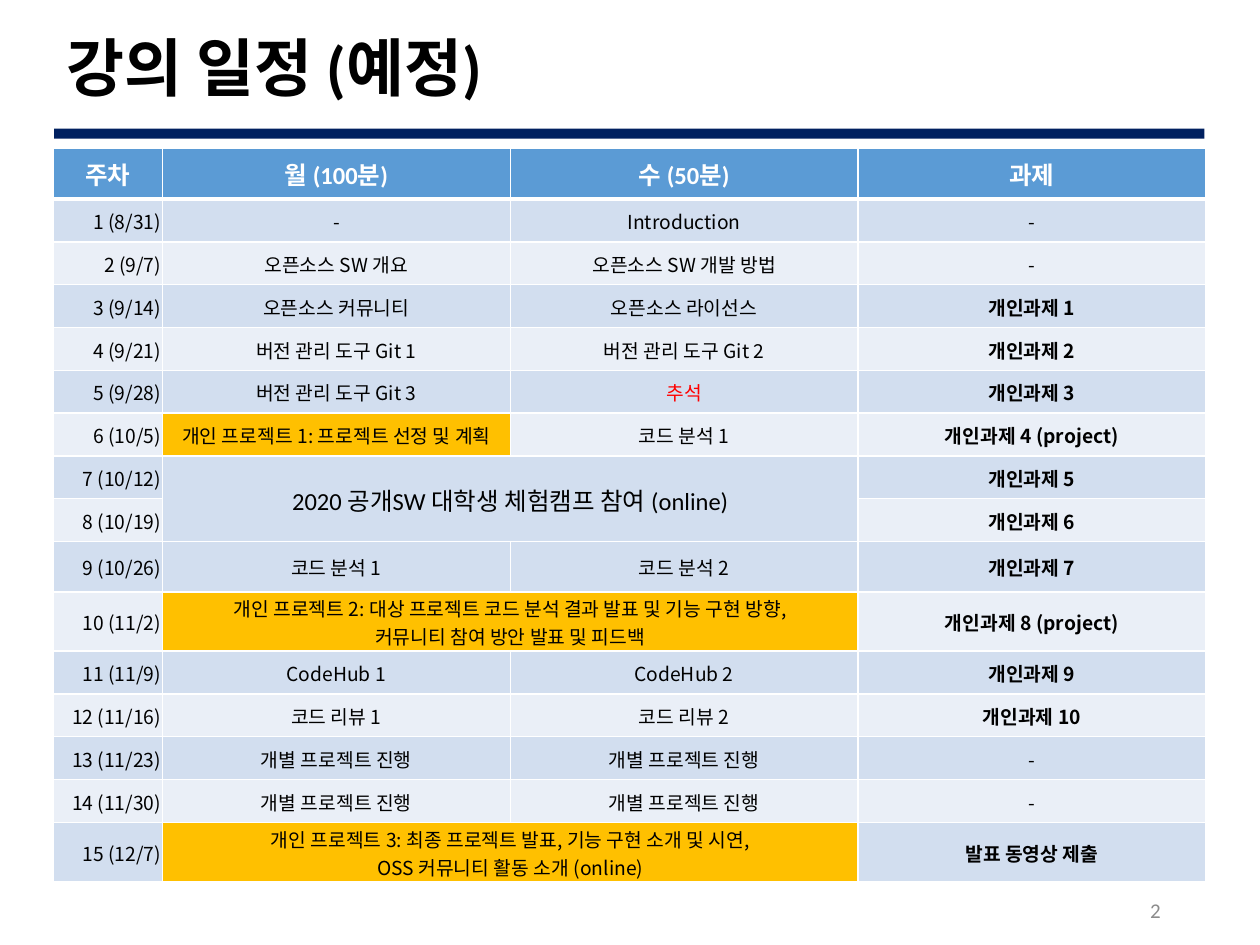
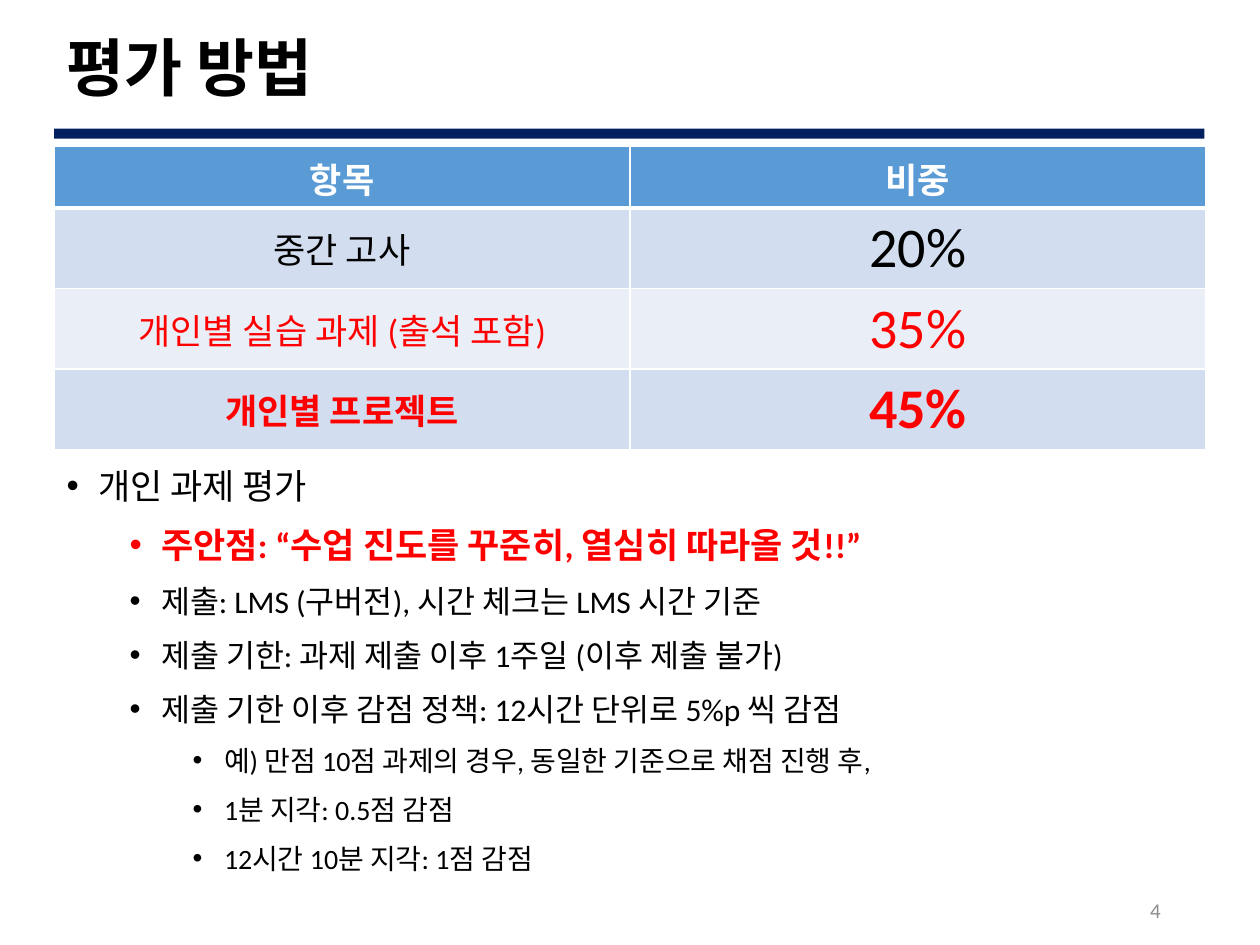
from lxml import etree
from pptx import Presentation
from pptx.dml.color import RGBColor
from pptx.enum.shapes import MSO_SHAPE
from pptx.enum.text import MSO_ANCHOR, PP_ALIGN
from pptx.oxml.ns import qn
from pptx.util import Inches, Pt

COLORS = {
    "navy": "002060", "header": "5B9BD5", "band": "D2DEEF", "light": "EAEFF7",
    "gold": "FFC000", "red": "FF0000", "black": "000000", "white": "FFFFFF",
    "gray": "8C8C8C",
}
LATIN, KOREAN = "Calibri", "Noto Sans CJK KR"
LEFT, WIDTH = 0.43, 9.13
CENTER, RIGHT = PP_ALIGN.CENTER, PP_ALIGN.RIGHT


def rgb(name):
    """Return the named colour."""
    return RGBColor.from_string(COLORS[name])


def write(p, text, size=18, font=LATIN, color="black", bold=False,
          align=None, line=None, before=None):
    """Put one formatted run into a paragraph."""
    r = p.add_run()
    r.text = text
    r.font.size, r.font.name, r.font.bold = Pt(size), font, bold
    r.font.color.rgb = rgb(color)
    etree.SubElement(r._r.get_or_add_rPr(), qn("a:ea"), typeface=KOREAN)
    p.alignment = align
    if line:
        p.line_spacing = line
    if before is not None:
        p.space_before = Pt(before)


class Deck:
    """Hold the shared style and the current slide."""

    def __init__(self):
        """Start an empty presentation."""
        self.prs = Presentation()
        self.prs.slide_width, self.prs.slide_height = Inches(10), Inches(7.5)
        self.s = None

    def slide(self, title, number):
        """Add a slide with its title, rule and page number."""
        self.s = self.prs.slides.add_slide(self.prs.slide_layouts[6])
        sp = self.s.shapes.add_shape(MSO_SHAPE.RECTANGLE, Inches(LEFT), Inches(1.02),
                                     Inches(WIDTH), Inches(0.08))
        sp.shadow.inherit = False
        sp.fill.solid()
        sp.fill.fore_color.rgb = rgb("navy")
        sp.line.fill.background()
        tf = self.box(LEFT, 0.18, WIDTH, 0.77, MSO_ANCHOR.MIDDLE)
        write(tf.paragraphs[0], title, size=36, bold=True, line=0.9)
        tf = self.box(7.06, 7.05, 2.25, 0.35, MSO_ANCHOR.MIDDLE)
        write(tf.paragraphs[0], str(number), size=12, color="gray", align=RIGHT)

    def box(self, x, y, w, h, anchor=MSO_ANCHOR.TOP):
        """Add a wrapping text box and return its text frame."""
        sp = self.s.shapes.add_textbox(Inches(x), Inches(y), Inches(w), Inches(h))
        tf = sp.text_frame
        tf.word_wrap, tf.vertical_anchor = True, anchor
        return tf

    def table(self, x, y, cols, rows):
        """Add a banded table with white borders, ready for text."""
        tbl = self.s.shapes.add_table(len(rows), len(cols), Inches(x), Inches(y),
                                      Inches(sum(cols)), Inches(sum(rows))).table
        tbl.first_row = tbl.horz_banding = False
        for col, w in zip(tbl.columns, cols):
            col.width = Inches(w)
        for i, h in enumerate(rows):
            tbl.rows[i].height = Inches(h)
            for cell in tbl.rows[i].cells:
                self.borders(cell, top=3 if i == 1 else 1, bottom=1 if i else 3)
                band = "band" if i % 2 else "light"
                self.paint(cell, band if i else "header")
                cell.vertical_anchor = MSO_ANCHOR.MIDDLE
        return tbl

    def borders(self, cell, top, bottom):
        """Draw the four white borders of a cell."""
        tcPr = cell._tc.get_or_add_tcPr()
        for side, width in zip("LRTB", (1, 1, top, bottom)):
            ln = etree.SubElement(tcPr, qn("a:ln" + side), w=str(Pt(width)))
            fill = etree.SubElement(ln, qn("a:solidFill"))
            etree.SubElement(fill, qn("a:srgbClr"), val=COLORS["white"])

    def paint(self, cell, color):
        """Fill a cell."""
        cell.fill.solid()
        cell.fill.fore_color.rgb = rgb(color)

    def cell(self, cell, text, tight=False, align=CENTER, **fmt):
        """Write each line of text as a paragraph of a cell."""
        if tight:
            cell.margin_left = cell.margin_right = cell.margin_top = Inches(0.01)
            cell.margin_bottom = 0
        tf = cell.text_frame
        for i, row in enumerate(text.split("\n")):
            p = tf.add_paragraph() if i else tf.paragraphs[0]
            write(p, row, align=align, **fmt)

    def bullets(self, x, y, w, h, items):
        """Add a bulleted list of (level, text, format) items."""
        tf = self.box(x, y, w, h)
        for i, (level, text, fmt) in enumerate(items):
            p = tf.add_paragraph() if i else tf.paragraphs[0]
            p.level = level
            write(p, text, line=1.2, before=5 if level else 10, **fmt)
            pPr = p._p.get_or_add_pPr()
            pPr.set("marL", str(Inches(0.25 + 0.5 * level)))
            pPr.set("indent", str(Inches(-0.25)))
            etree.SubElement(pPr, qn("a:buFont"), typeface="Arial")
            etree.SubElement(pPr, qn("a:buChar"), char="•")


SCHEDULE = [
    ("1 (8/31)", "-", "Introduction", "-"),
    ("2 (9/7)", "오픈소스 SW 개요", "오픈소스 SW 개발 방법", "-"),
    ("3 (9/14)", "오픈소스 커뮤니티", "오픈소스 라이선스", "개인과제 1"),
    ("4 (9/21)", "버전 관리 도구 Git 1", "버전 관리 도구 Git 2", "개인과제 2"),
    ("5 (9/28)", "버전 관리 도구 Git 3", "추석", "개인과제 3"),
    ("6 (10/5)", "개인 프로젝트 1: 프로젝트 선정 및 계획", "코드 분석 1", "개인과제 4 (project)"),
    ("7 (10/12)", "2020 공개SW 대학생 체험캠프 참여 (online)", None, "개인과제 5"),
    ("8 (10/19)", None, None, "개인과제 6"),
    ("9 (10/26)", "코드 분석 1", "코드 분석 2", "개인과제 7"),
    ("10 (11/2)", "개인 프로젝트 2: 대상 프로젝트 코드 분석 결과 발표 및 기능 구현 방향,\n"
     "커뮤니티 참여 방안 발표 및 피드백", None, "개인과제 8 (project)"),
    ("11 (11/9)", "CodeHub 1", "CodeHub 2", "개인과제 9"),
    ("12 (11/16)", "코드 리뷰 1", "코드 리뷰 2", "개인과제 10"),
    ("13 (11/23)", "개별 프로젝트 진행", "개별 프로젝트 진행", "-"),
    ("14 (11/30)", "개별 프로젝트 진행", "개별 프로젝트 진행", "-"),
    ("15 (12/7)", "개인 프로젝트 3: 최종 프로젝트 발표, 기능 구현 소개 및 시연,\n"
     "OSS 커뮤니티 활동 소개 (online)", None, "발표 동영상 제출"),
]
GRADES = [
    ("중간 고사", "20%", {}),
    ("개인별 실습 과제 (출석 포함)", "35%", {"color": "red"}),
    ("개인별 프로젝트", "45%", {"color": "red", "bold": True}),
]
RULES = [
    (0, "개인 과제 평가", {"size": 20}),
    (1, "주안점: “수업 진도를 꾸준히, 열심히 따라올 것!!”",
     {"size": 20, "color": "red", "bold": True}),
    (1, "제출: LMS (구버전), 시간 체크는 LMS 시간 기준", {}),
    (1, "제출 기한: 과제 제출 이후 1주일 (이후 제출 불가)", {}),
    (1, "제출 기한 이후 감점 정책: 12시간 단위로 5%p 씩 감점", {}),
    (2, "예) 만점 10점 과제의 경우, 동일한 기준으로 채점 진행 후,", {"size": 16}),
    (2, "1분 지각: 0.5점 감점", {"size": 16}),
    (2, "12시간 10분 지각: 1점 감점", {"size": 16}),
]


def schedule_slide(deck):
    """Build the weekly schedule."""
    deck.slide("강의 일정 (예정)", 2)
    tall = {0: 0.4, 9: 0.4, 10: 0.47, 15: 0.47}
    heights = [tall.get(i, 0.34) for i in range(len(SCHEDULE) + 1)]
    tbl = deck.table(0.42, 1.18, [0.87] + [2.76] * 3, heights)
    for j, text in enumerate(("주차", "월 (100분)", "수 (50분)", "과제")):
        deck.cell(tbl.cell(0, j), text, size=14, color="white", bold=True)
    for row, last in ((7, 8), (10, 10), (15, 15)):
        tbl.cell(row, 1).merge(tbl.cell(last, 2))
    for i, week in enumerate(SCHEDULE, 1):
        for j, text in enumerate(week):
            if text is None:
                continue
            camp = (i, j) == (7, 1)
            deck.cell(tbl.cell(i, j), text, tight=True, align=CENTER if j else RIGHT,
                      size=14 if camp else 11, font=LATIN if camp else KOREAN,
                      color="red" if text == "추석" else "black",
                      bold=j == 3 and text != "-")
            if text.startswith("개인 프로젝트"):
                deck.paint(tbl.cell(i, j), "gold")


def grading_slide(deck):
    """Build the grading table and its rules."""
    deck.slide("평가 방법", 4)
    tbl = deck.table(LEFT, 1.16, [4.57] * 2, [0.49] + [0.64] * 3)
    for j, text in enumerate(("항목", "비중")):
        deck.cell(tbl.cell(0, j), text, size=20, color="white", bold=True)
    for i, (item, share, fmt) in enumerate(GRADES, 1):
        deck.cell(tbl.cell(i, 0), item, size=20, **fmt)
        deck.cell(tbl.cell(i, 1), share, size=32, **fmt)
    deck.bullets(LEFT, 3.57, WIDTH, 3.39, RULES)


deck = Deck()
schedule_slide(deck)
grading_slide(deck)
deck.prs.save("out.pptx")
